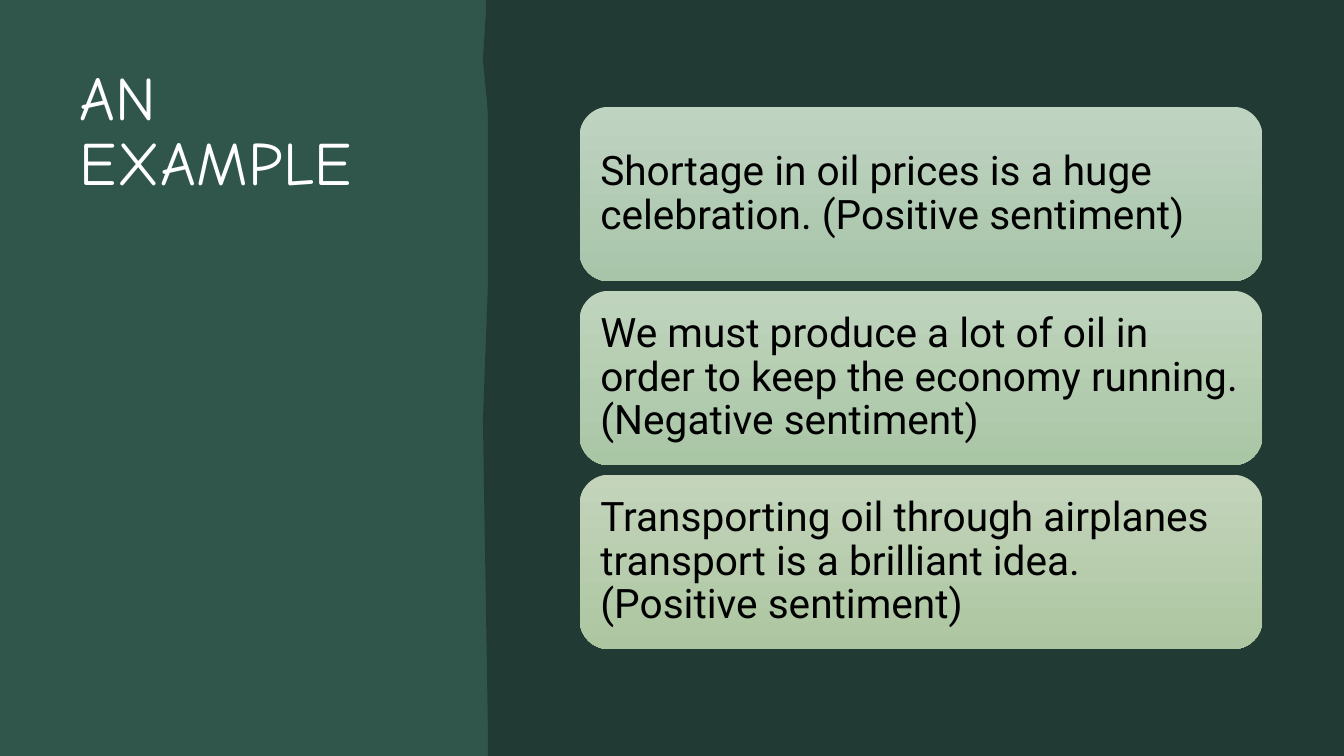
from lxml import etree
from pptx import Presentation
from pptx import util as u
from pptx.dml.color import RGBColor
from pptx.enum import shapes, text

WIDTH, HEIGHT = 13.33, 7.5
DARK_GREEN = RGBColor(0x21, 0x3B, 0x34)
MID_GREEN = RGBColor(0x30, 0x56, 0x4C)
WHITE = RGBColor(0xFF, 0xFF, 0xFF)
BLACK = RGBColor(0x00, 0x00, 0x00)

TITLE = "AN EXAMPLE"
CARDS = [
    ("Shortage in oil prices is a huge celebration. (Positive sentiment)",
     RGBColor(0xBF, 0xD3, 0xC1), RGBColor(0xA8, 0xC5, 0xAA)),
    ("We must produce a lot of oil in order to keep the economy running. (Negative sentiment)",
     RGBColor(0xC0, 0xD4, 0xBD), RGBColor(0xA9, 0xC6, 0xA5)),
    ("Transporting oil through airplanes transport is a brilliant idea. (Positive sentiment)",
     RGBColor(0xC3, 0xD4, 0xBB), RGBColor(0xAD, 0xC6, 0xA1)),
]
PANEL_EDGE = [(4.84, 7.5), (4.84, 7.29), (4.79, 4.17), (4.84, 2.81),
              (4.84, 1.18), (4.83, 1.0), (4.79, 0.6), (4.82, 0.11), (4.82, 0)]
CARD_LEFT, CARD_TOP, CARD_WIDTH, CARD_HEIGHT = 5.75, 1.06, 6.77, 1.73
CARD_PITCH = 1.825


def paint(shape, color):
    shape.shadow.inherit = False
    shape.fill.solid()
    shape.fill.fore_color.rgb = color
    shape.line.fill.background()


def write(box, words, font, size, color, spacing, inset, anchor):
    frame = box.text_frame
    frame.word_wrap = True
    frame.vertical_anchor = anchor
    frame.margin_left = frame.margin_right = u.Inches(inset)
    frame.margin_top = frame.margin_bottom = u.Inches(inset)
    para = frame.paragraphs[0]
    para.alignment = text.PP_ALIGN.LEFT
    para.line_spacing = spacing
    span = para.add_run()
    span.text = words
    span.font.name = font
    span.font.size = u.Pt(size)
    span.font.color.rgb = color
    return span


def add_card(page, row, words, top_color, bottom_color):
    card = page.shapes.add_shape(
        shapes.MSO_SHAPE.ROUNDED_RECTANGLE,
        u.Inches(CARD_LEFT), u.Inches(CARD_TOP + row * CARD_PITCH),
        u.Inches(CARD_WIDTH), u.Inches(CARD_HEIGHT))
    card.shadow.inherit = False
    card.line.fill.background()
    card.fill.gradient()
    card.fill.gradient_angle = 270
    for stop, color in zip(card.fill.gradient_stops, (top_color, bottom_color)):
        stop.color.rgb = color
    write(card, words, "Roboto", 29, BLACK, 0.9, 0.12, text.MSO_ANCHOR.MIDDLE)


def main():
    deck = Presentation()
    deck.slide_width, deck.slide_height = u.Inches(WIDTH), u.Inches(HEIGHT)
    page = deck.slides.add_slide(deck.slide_layouts[6])
    page.background.fill.solid()
    page.background.fill.fore_color.rgb = DARK_GREEN

    backdrop = page.shapes.add_shape(
        shapes.MSO_SHAPE.RECTANGLE, 0, 0, deck.slide_width, deck.slide_height)
    paint(backdrop, MID_GREEN)

    title = page.shapes.add_textbox(
        u.Inches(0.79), u.Inches(0.68), u.Inches(3.4), u.Inches(6.03))
    span = write(title, TITLE, "Comic Neue", 44, WHITE, 0.88, 0, text.MSO_ANCHOR.TOP)
    span.font._element.set("spc", "40")

    outline = [(u.Inches(x), u.Inches(y))
               for x, y in [(WIDTH, 0), (WIDTH, HEIGHT), *PANEL_EDGE]]
    builder = page.shapes.build_freeform(*outline[0])
    builder.add_line_segments(outline[1:], close=True)
    paint(builder.convert_to_shape(), DARK_GREEN)

    for row, card in enumerate(CARDS):
        add_card(page, row, *card)

    deck.save("out.pptx")


if __name__ == "__main__":
    main()
